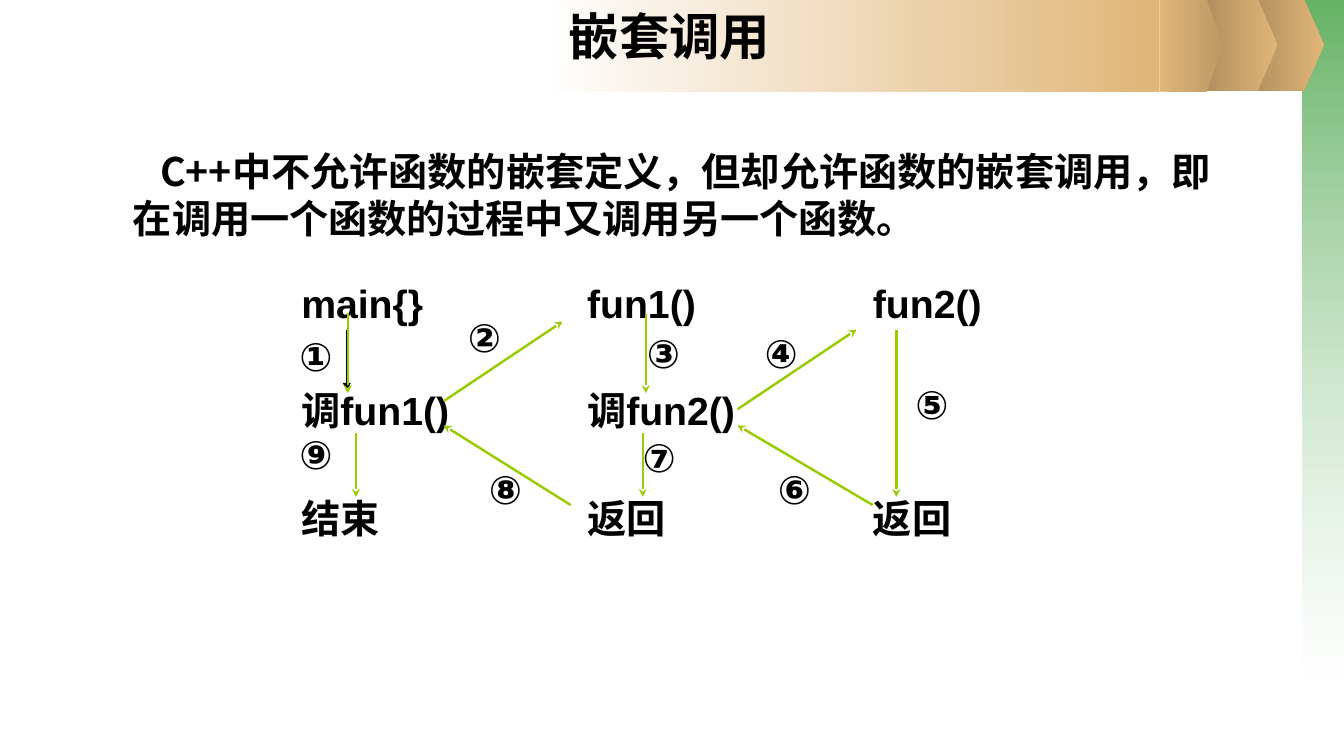
from pptx import Presentation, util as u
from pptx.dml.color import RGBColor
from pptx.enum import shapes, text
from pptx.oxml import parse_xml
from pptx.oxml.ns import nsdecls
from lxml import etree

# Content
TITLE = "嵌套调用"
INTRO = "C++中不允许函数的嵌套定义，但却允许函数的嵌套调用，即在调用一个函数的过程中又调用另一个函数。"
# Each column: (row, step)
COLUMNS = [
    [(0, "main{}"), (1, "调fun1()"), (2, "结束")],
    [(0, "fun1()"), (1, "调fun2()"), (2, "返回")],
    [(0, "fun2()"), (2, "返回")],
]
# Order marks: (mark, column, right of the column's left, below the grid's top)
MARKS = [
    ("①", 0, 0.08, 0.65), ("②", 0, 1.75, 0.46), ("③", 1, 0.69, 0.62),
    ("⑦", 1, 0.65, 1.65), ("④", 1, 1.86, 0.62), ("⑤", 2, 0.52, 1.12),
    ("⑥", 1, 1.99, 1.97), ("⑧", 0, 1.96, 1.97), ("⑨", 0, 0.08, 1.62),
]
# Arrows: (column, from, to), offsets as for the marks
ENTRY_ARROW = (0, (0.55, 0.62), (0.55, 1.23))
CALL_ARROWS = [
    (0, (0.56, 0.46), (0.56, 1.25)), (0, (0.64, 1.65), (0.64, 2.28)),
    (0, (1.51, 1.33), (2.69, 0.54)), (1, (0.68, 0.47), (0.68, 1.25)),
    (1, (0.65, 1.65), (0.65, 2.28)), (2, (0.33, 0.62), (0.33, 2.28)),
    (1, (1.59, 1.41), (2.77, 0.62)), (0, (2.77, 2.36), (1.51, 1.57)),
    (1, (2.93, 2.36), (1.59, 1.57)),
]

# Style and grid
COLORS = {"ink": "000000", "call": "99CC00", "green": "339933", "white": "FFFFFF",
          "tan": "E0B678", "brown": "AB8B5C", "bronze": "BD9965"}
LATIN, CJK = "Arial", "Noto Sans CJK SC"
GRID_LEFT, GRID_TOP, COL_STEP = 2.89, 2.65, 2.835
LINE_PT = 38.5
RECT, PLATE = shapes.MSO_SHAPE.RECTANGLE, shapes.MSO_SHAPE.PENTAGON
# Decorations: preset, box, gradient angle, (colour, opacity %) stops
DECOR = [
    (RECT, (12.92, 0, 0.41, 6.77), 270, [("green", 75), ("white", 37)]),
    (PLATE, (12.34, -0.01, 0.79, 0.91), 0, [("brown", 100), ("tan", 100)]),
    (PLATE, (11.88, -0.01, 0.79, 0.91), 0, [("brown", 100), ("tan", 100)]),
    (RECT, (5.36, 0, 6.14, 0.91), 0, [("white", 100), ("tan", 100)]),
    (PLATE, (11.5, 0, 0.62, 0.91), 0, [("tan", 100), ("bronze", 100)]),
]

prs = Presentation()
prs.slide_width, prs.slide_height = u.Inches(13.33), u.Inches(7.5)
slide = prs.slides.add_slide(prs.slide_layouts[5])


def color(name):
    return RGBColor.from_string(COLORS[name])


def inches(values):
    return [u.Inches(v) for v in values]


def grid_point(column, dx, dy):
    return GRID_LEFT + COL_STEP * column + dx, GRID_TOP + dy


def write(paragraph, words, size=28, latin=LATIN, **layout):
    for key, value in layout.items():
        setattr(paragraph, key, value)
    run = paragraph.add_run()
    run.text = words
    for key, value in {"size": u.Pt(size), "name": latin, "bold": True}.items():
        setattr(run.font, key, value)
    run.font.color.rgb = color("ink")
    run.font._element.append(parse_xml(f'<a:ea {nsdecls("a")} typeface="{CJK}"/>'))


def add_text_frame(box, inset=True):
    frame = slide.shapes.add_textbox(*inches(box)).text_frame
    frame.word_wrap = True
    if not inset:
        for side in ("left", "right", "top", "bottom"):
            setattr(frame, f"margin_{side}", 0)
    return frame


def add_arrow(column, start, end, line_color, width, head):
    points = grid_point(column, *start) + grid_point(column, *end)
    arrow = slide.shapes.add_connector(shapes.MSO_CONNECTOR.STRAIGHT, *inches(points))
    arrow.line.color.rgb = color(line_color)
    arrow.line.width = u.Pt(width)
    arrow.line._get_or_add_ln().append(
        parse_xml(f'<a:tailEnd {nsdecls("a")} type="{head}"/>'))
    arrow._element.spPr.append(parse_xml(f'<a:effectLst {nsdecls("a")}/>'))


# Banner and side strip
for preset, box, angle, stops in DECOR:
    decor = slide.shapes.add_shape(preset, *inches(box))
    decor.shadow.inherit = False
    decor.line.fill.background()
    if preset == PLATE:
        decor.adjustments[0] = 0.25
    decor.fill.gradient()
    decor.fill.gradient_angle = angle
    for stop, (name, opacity), position in zip(decor.fill.gradient_stops, stops, (0, 1)):
        stop.color.rgb = color(name)
        stop.position = position
        if opacity < 100:
            tint = stop._gs[0]
            etree.SubElement(tint, tint.tag.replace("srgbClr", "alpha"),
                             val=str(opacity * 1000))

# Title, brought in front of the banner
title = slide.shapes.title
title.left, title.top, title.width, title.height = inches((2.14, 0, 9, 1.25))
title.text_frame.vertical_anchor = text.MSO_ANCHOR.TOP
write(title.text_frame.paragraphs[0], TITLE, 36, alignment=text.PP_ALIGN.CENTER)
slide.shapes._spTree.append(title._element)

# Steps of each function, one column each
for column, steps in enumerate(COLUMNS):
    frame = add_text_frame((*grid_point(column, 0, 0), 1.83, 2.83))
    previous = 0
    for row, step in steps:
        paragraph = frame.add_paragraph() if row else frame.paragraphs[0]
        layout = {"alignment": text.PP_ALIGN.JUSTIFY, "line_spacing": u.Pt(LINE_PT)}
        if row:
            layout["space_before"] = u.Pt(LINE_PT * (2 * (row - previous) - 1))
        write(paragraph, step, **layout)
        previous = row

# Order of the calls
add_arrow(*ENTRY_ARROW, "ink", 0.75, "triangle")
for mark, column, dx, dy in MARKS:
    frame = add_text_frame((*grid_point(column, dx, dy), 0.34, 0.4), inset=False)
    write(frame.paragraphs[0], mark, alignment=text.PP_ALIGN.JUSTIFY)
for call in CALL_ARROWS:
    add_arrow(*call, "call", 1.75, "stealth")

# Introduction with a first-line indent
intro = add_text_frame((1.22, 1.41, 11.1, 1.04)).paragraphs[0]
intro._p.get_or_add_pPr().set("indent", str(u.Inches(0.27)))
write(intro, INTRO, latin=CJK, line_spacing=u.Pt(33.6))

prs.save("out.pptx")
